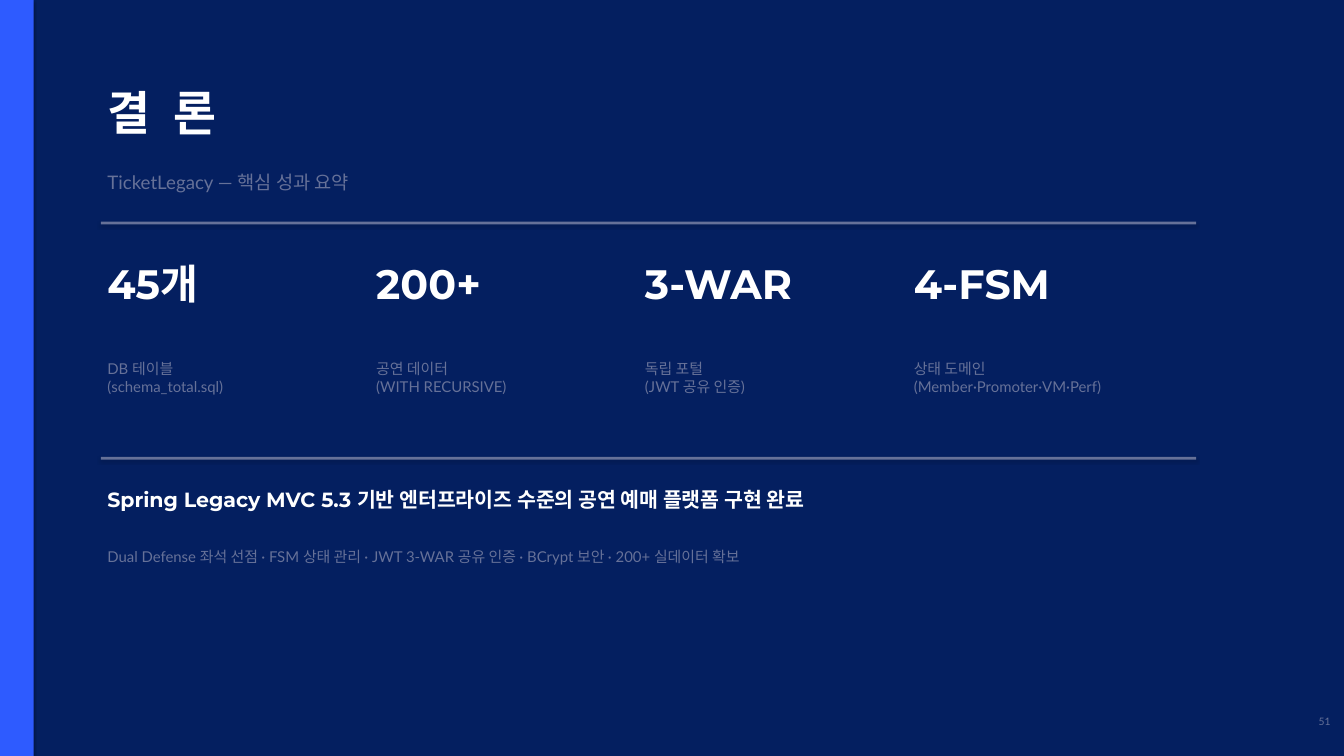
from pptx import Presentation
from pptx.dml.color import RGBColor
from pptx.enum.shapes import MSO_SHAPE
from pptx.enum.text import MSO_ANCHOR, MSO_AUTO_SIZE, PP_ALIGN
from pptx.util import Inches, Pt

RECTANGLE = MSO_SHAPE.RECTANGLE
TOP = MSO_ANCHOR.TOP
GROW = MSO_AUTO_SIZE.SHAPE_TO_FIT_TEXT
LEFT, RIGHT = PP_ALIGN.LEFT, PP_ALIGN.RIGHT
COLORS = {"navy": "041F60", "blue": "2E5BFF", "white": "FFFFFF", "muted": "667198"}
HEADING, BODY = "Montserrat", "Lato"

deck = Presentation()
deck.slide_width, deck.slide_height = Inches(20), Inches(11.25)
COL = deck.slide_width / 20
ROW = deck.slide_height / 11.25
MARGIN, CONTENT_WIDTH = 1.5, 16.3

slide = deck.slides.add_slide(deck.slide_layouts[5])
slide.background.fill.solid()
slide.background.fill.fore_color.rgb = RGBColor.from_string(COLORS["navy"])


def write(text, col, row, cols, rows, size, font=BODY, color="muted",
          bold=False, align=LEFT, spacing=0, holder=None):
    area = [int(n) for n in (col * COL, row * ROW, cols * COL, rows * ROW)]
    holder = holder or slide.shapes.add_textbox(*area)
    holder.left, holder.top, holder.width, holder.height = area
    frame = holder.text_frame
    frame.word_wrap = True
    frame.auto_size = GROW
    frame.vertical_anchor = TOP
    paragraph = frame.paragraphs[0]
    paragraph.text = text
    paragraph.alignment = align
    for run in paragraph.runs:
        run.font.size = Pt(size)
        run.font.name = font
        run.font.bold = bold
        run.font.color.rgb = RGBColor.from_string(COLORS[color])
        if spacing:
            run.font._element.set("spc", str(spacing))


bars = [
    (0, 0, 0.5, 11.25, "blue"),
    (MARGIN, 3.3, CONTENT_WIDTH, 0.04, "muted"),
    (MARGIN, 6.8, CONTENT_WIDTH, 0.04, "muted"),
]
for col, row, cols, rows, color in bars:
    bar = slide.shapes.add_shape(
        RECTANGLE, int(col * COL), int(row * ROW), int(cols * COL), int(rows * ROW))
    bar.fill.solid()
    bar.fill.fore_color.rgb = RGBColor.from_string(COLORS[color])
    bar.line.fill.background()

write("결 론", MARGIN, 1.2, 16, 1, 50, HEADING, "white", bold=True,
      spacing=650, holder=slide.shapes.title)
write("TicketLegacy — 핵심 성과 요약", MARGIN, 2.5, 16, 0.6, 20)

results = [
    ("45개", "DB 테이블\v(schema_total.sql)"),
    ("200+", "공연 데이터\v(WITH RECURSIVE)"),
    ("3-WAR", "독립 포털\v(JWT 공유 인증)"),
    ("4-FSM", "상태 도메인\v(Member·Promoter·VM·Perf)"),
]
for index, (figure, caption) in enumerate(results):
    col = MARGIN + 4 * index
    write(figure, col, 3.8, 3.8, 1.3, 44, HEADING, "white", bold=True)
    write(caption, col, 5.3, 3.8, 1.2, 16)

write("Spring Legacy MVC 5.3 기반 엔터프라이즈 수준의 공연 예매 플랫폼 구현 완료",
      MARGIN, 7.2, CONTENT_WIDTH, 0.7, 22, HEADING, "white", bold=True)
write("Dual Defense 좌석 선점 · FSM 상태 관리 · JWT 3-WAR 공유 인증 · BCrypt 보안 · 200+ 실데이터 확보",
      MARGIN, 8.1, CONTENT_WIDTH, 0.7, 16)
write("51", 19.3, 10.6, 0.6, 0.4, 11, align=RIGHT)

deck.save("out.pptx")
